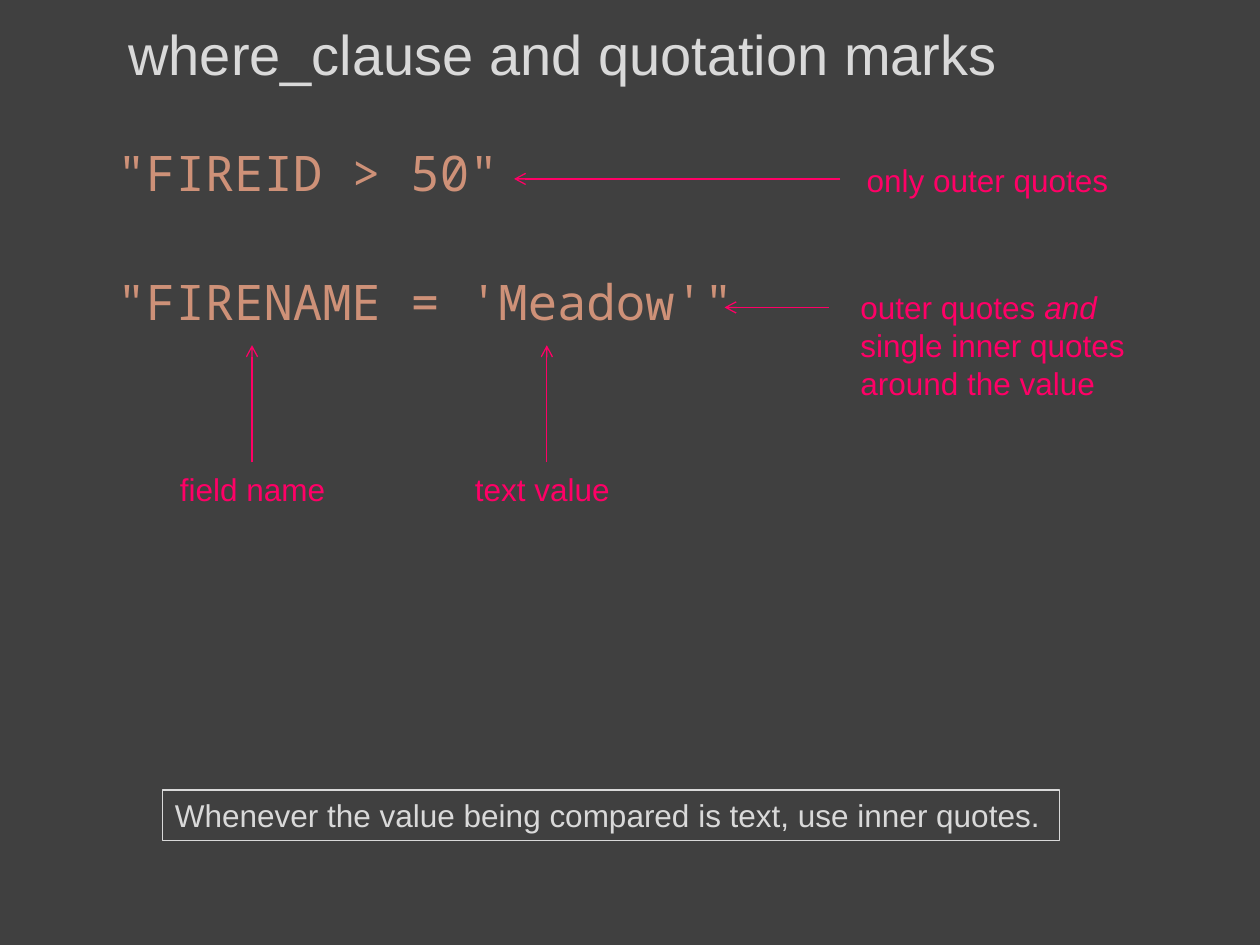
from lxml.etree import SubElement
from pptx import Presentation
from pptx.dml.color import RGBColor
from pptx.enum.shapes import MSO_CONNECTOR, MSO_SHAPE
from pptx.enum.text import MSO_ANCHOR, MSO_AUTO_SIZE, PP_ALIGN
from pptx.oxml.ns import qn
from pptx.util import Inches, Pt

BACKGROUND = RGBColor(0x40, 0x40, 0x40)
LIGHT = RGBColor(0xD9, 0xD9, 0xD9)
CODE = RGBColor(0xCE, 0x91, 0x78)
PINK = RGBColor(0xFF, 0x00, 0x66)


class SlideBuilder:
    body_font = "Arial"
    code_font = "Noto Sans Mono"
    note_size = Pt(18)
    line_width = Pt(0.75)

    def __init__(self, slide):
        self.slide = slide
        slide.background.fill.solid()
        slide.background.fill.fore_color.rgb = BACKGROUND

    def format_text(self, frame, size, color, font):
        for paragraph in frame.paragraphs:
            paragraph.alignment = PP_ALIGN.LEFT
            for run in paragraph.runs:
                run.font.size = size
                run.font.name = font
                run.font.color.rgb = color

    def text(self, box, content, size, color, font=body_font, wrap=True):
        frame = self.slide.shapes.add_textbox(*map(Inches, box)).text_frame
        frame.word_wrap = wrap
        frame.text = content
        self.format_text(frame, size, color, font)
        return frame

    def title(self, box, content):
        frame = self.text(box, content, Pt(32), LIGHT)
        frame.vertical_anchor = MSO_ANCHOR.MIDDLE

    def code(self, box, lines, gap):
        frame = self.text(box, "\n".join(lines), Pt(28), CODE, self.code_font)
        for paragraph in frame.paragraphs[1:]:
            paragraph.space_before = gap

    def note(self, box, content):
        frame = self.text(box, content, self.note_size, PINK, wrap=False)
        frame.auto_size = MSO_AUTO_SIZE.SHAPE_TO_FIT_TEXT
        return frame

    def arrow(self, start, end):
        points = map(Inches, (*start, *end))
        connector = self.slide.shapes.add_connector(MSO_CONNECTOR.STRAIGHT, *points)
        connector.line.color.rgb = PINK
        connector.line.width = self.line_width
        SubElement(connector.line._get_or_add_ln(), qn("a:tailEnd"), type="arrow")
        SubElement(connector._element.spPr, qn("a:effectLst"))

    def framed_text(self, box, content):
        rule = self.slide.shapes.add_shape(MSO_SHAPE.RECTANGLE, *map(Inches, box))
        rule.shadow.inherit = False
        rule.fill.background()
        rule.line.color.rgb = LIGHT
        rule.line.width = self.line_width
        rule.text_frame.word_wrap = True
        rule.text_frame.text = content
        self.format_text(rule.text_frame, self.note_size, LIGHT, self.body_font)


def main():
    presentation = Presentation()
    presentation.slide_width = Inches(10)
    presentation.slide_height = Inches(7.5)
    builder = SlideBuilder(presentation.slides.add_slide(presentation.slide_layouts[6]))

    # Title and the two where clauses
    builder.title((0.92, 0.17, 8.75, 0.5), "where_clause and quotation marks")
    clauses = ['"FIREID > 50"', "\"FIRENAME = 'Meadow'\""]
    builder.code((0.83, 1.08, 9.17, 2.08), clauses, gap=Pt(40))

    # Notes on the quotes, right of each clause
    builder.arrow((6.67, 1.42), (4.08, 1.42))
    builder.note((6.78, 1.23, 2.14, 0.4), "only outer quotes")
    builder.arrow((6.58, 2.44), (5.75, 2.44))
    quotes_note = builder.note(
        (6.73, 2.24, 2.39, 1.01),
        "outer quotes \nsingle inner quotes\naround the value",
    )
    emphasis = quotes_note.paragraphs[0].add_run()
    emphasis.text = "and"
    emphasis.font.italic = True
    builder.format_text(quotes_note, builder.note_size, PINK, builder.body_font)

    # Labels below the parts of the second clause
    for label, arrow_x, width in (("field name", 2, 1.37), ("text value", 4.34, 1.28)):
        builder.arrow((arrow_x, 3.67), (arrow_x, 2.74))
        builder.note((arrow_x - 0.67, 3.68, width, 0.4), label)

    # Rule to remember
    builder.framed_text(
        (1.29, 6.27, 7.12, 0.4),
        "Whenever the value being compared is text, use inner quotes.",
    )

    presentation.save("out.pptx")


if __name__ == "__main__":
    main()
